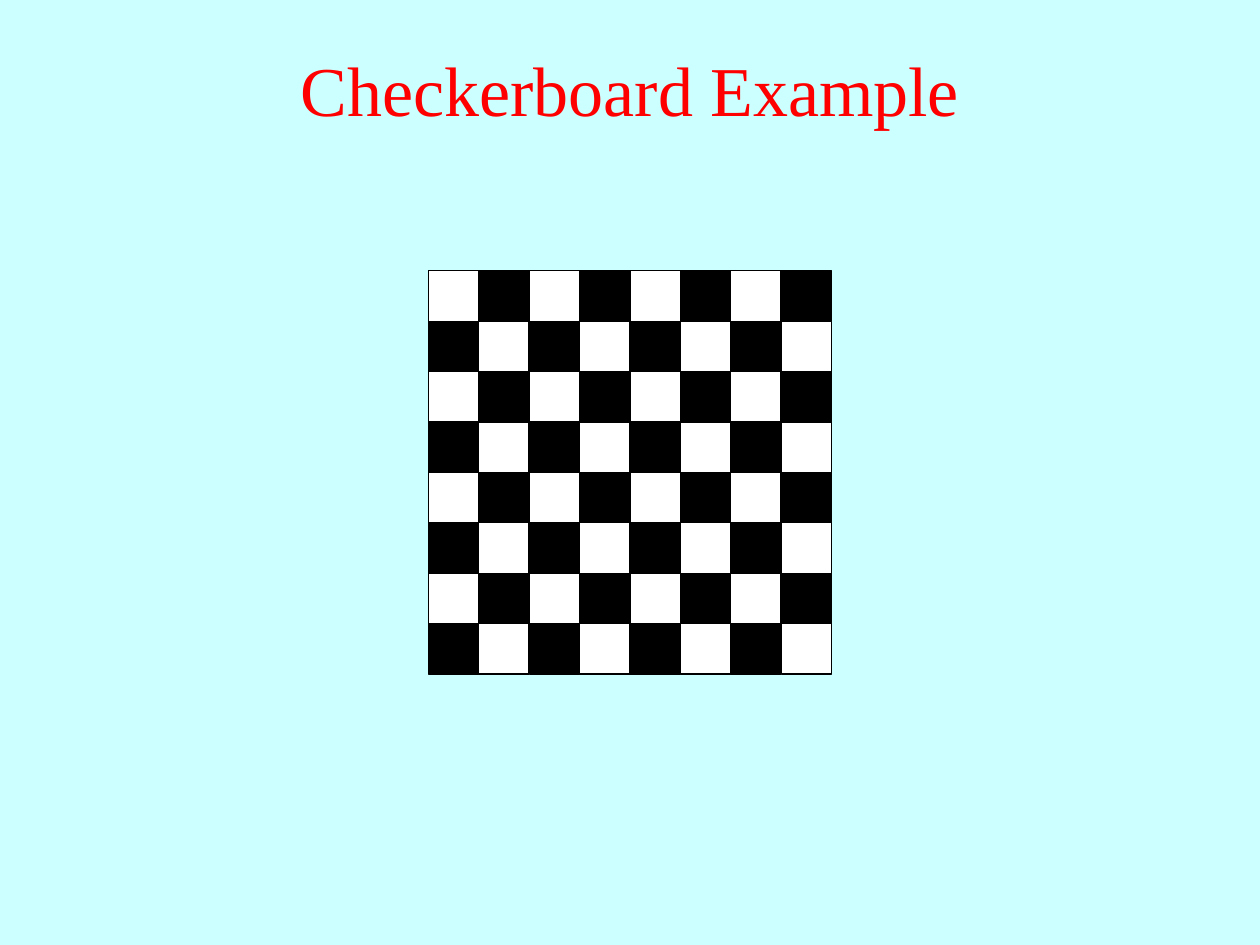
import pptx
import pptx.util
import pptx.dml.color
import pptx.enum.shapes
import pptx.enum.text

Inches, Pt = pptx.util.Inches, pptx.util.Pt
RGB = pptx.dml.color.RGBColor.from_string

# Content
TITLE = "Checkerboard Example"
SQUARES = 8  # squares along each side of the board

# Theme
THEME = {
    "background": RGB("CCFFFF"),
    "title": RGB("FF0000"),
    "squares": (RGB("FFFFFF"), RGB("000000")),
    "outline": RGB("000000"),
    "outline_width": Pt(0.72),
    "font": "Times New Roman",
    "title_size": Pt(40),
}

# Layout, in inches
SLIDE_W, SLIDE_H = 10, 7.5
SIDE = 0.4
BOARD_LEFT = (SLIDE_W - SQUARES * SIDE) / 2
BOARD_TOP = 2.15


def add_title(s):
    sp = s.shapes.title
    sp.left, sp.top = Inches(0), Inches(0.08)
    sp.width, sp.height = Inches(SLIDE_W), Inches(1.25)
    tf = sp.text_frame
    tf.word_wrap = True
    tf.vertical_anchor = pptx.enum.text.MSO_ANCHOR.MIDDLE
    p = tf.paragraphs[0]
    p.alignment = pptx.enum.text.PP_ALIGN.CENTER
    r = p.add_run()
    r.text = TITLE
    r.font.name = THEME["font"]
    r.font.size = THEME["title_size"]
    r.font.color.rgb = THEME["title"]


def add_square(s, row, col):
    sp = s.shapes.add_shape(
        pptx.enum.shapes.MSO_SHAPE.RECTANGLE,
        Inches(BOARD_LEFT + col * SIDE), Inches(BOARD_TOP + row * SIDE),
        Inches(SIDE), Inches(SIDE))
    sp.shadow.inherit = False
    sp.fill.solid()
    sp.fill.fore_color.rgb = THEME["squares"][(row + col) % 2]
    sp.line.color.rgb = THEME["outline"]
    sp.line.width = THEME["outline_width"]


def main():
    prs = pptx.Presentation()
    prs.slide_width, prs.slide_height = Inches(SLIDE_W), Inches(SLIDE_H)
    s = prs.slides.add_slide(prs.slide_layouts[5])
    s.background.fill.solid()
    s.background.fill.fore_color.rgb = THEME["background"]

    add_title(s)

    # Board: colours alternate along rows and columns
    for row in range(SQUARES):
        for col in range(SQUARES):
            add_square(s, row, col)

    prs.save("out.pptx")


if __name__ == "__main__":
    main()
